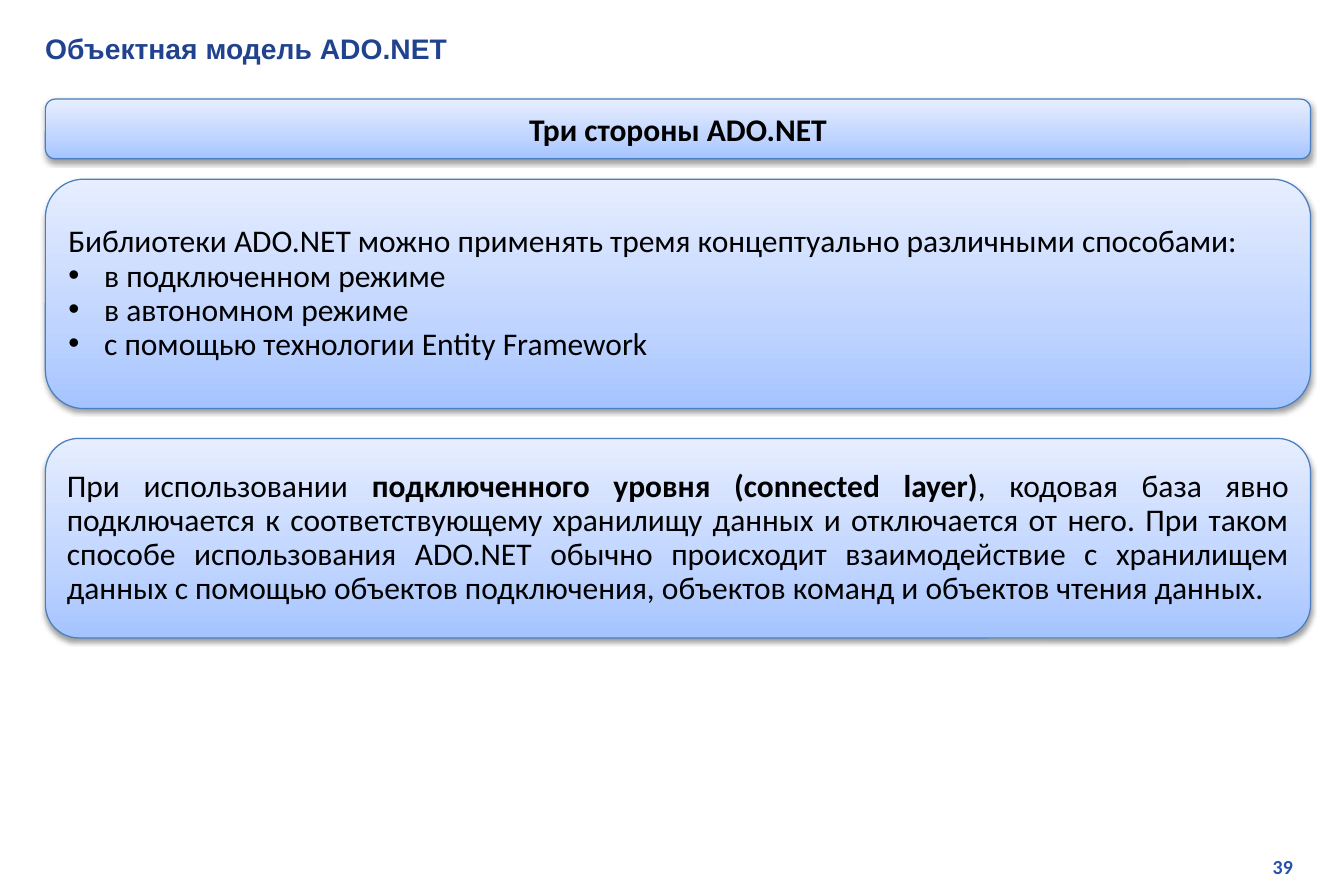
from lxml import etree
from pptx import Presentation
from pptx.dml.color import RGBColor
from pptx.enum.shapes import MSO_SHAPE
from pptx.enum.text import MSO_ANCHOR, PP_ALIGN
from pptx.oxml import parse_xml
from pptx.oxml.ns import qn
from pptx.util import Pt

ROUND = MSO_SHAPE.ROUNDED_RECTANGLE
MIDDLE = MSO_ANCHOR.MIDDLE
LEFT, CENTER, RIGHT, JUSTIFY = PP_ALIGN.LEFT, PP_ALIGN.CENTER, PP_ALIGN.RIGHT, PP_ALIGN.JUSTIFY
PX = 9144
NS = 'xmlns:a="http://schemas.openxmlformats.org/drawingml/2006/main"'
STOPS = [(0, "A4C4FF"), (35, "BFD4FF"), (100, "E6EEFF")]


def color(code):
    return RGBColor.from_string(code)


def write(shape, paras, align, size, face, tint, space=None):
    frame = shape.text_frame
    frame.word_wrap = True
    frame.vertical_anchor = MIDDLE
    for i, (bullet, runs) in enumerate(paras):
        para = frame.paragraphs[0] if i == 0 else frame.add_paragraph()
        para.alignment = align
        if space:
            para.line_spacing = space
        if bullet:
            props = para._p.get_or_add_pPr()
            props.set("marL", str(30 * PX))
            props.set("indent", str(-30 * PX))
            etree.SubElement(props, qn("a:buFont")).set("typeface", "Arial")
            etree.SubElement(props, qn("a:buChar")).set("char", "•")
        for text, bold in runs:
            run = para.add_run()
            run.text = text
            run.font.name = face
            run.font.size = Pt(size)
            run.font.bold = bold
            run.font.color.rgb = color(tint)


deck = Presentation()
deck.slide_width, deck.slide_height = 1125 * PX, 750 * PX
slide = deck.slides.add_slide(deck.slide_layouts[6])

labels = [
    ((854, 710, 238, 30), "39", RIGHT, 12, "Calibri", "2750AB"),
    ((28, 20, 1074, 40), "Объектная модель ADO.NET", LEFT, 17, "Arial", "21438F"),
]
for place, text, align, size, face, tint in labels:
    box = slide.shapes.add_textbox(*[n * PX for n in place])
    write(box, [(False, [(text, True)])], align, size, face, tint)

panels = [
    (83, 50, CENTER, None, [(False, [("Три стороны ADO.NET", True)])]),
    (150, 192, JUSTIFY, 0.9, [
        (False, [("Библиотеки ADO.NET можно применять тремя концептуально различными способами:", False)]),
        (True, [("в подключенном режиме", False)]),
        (True, [("в автономном режиме", False)]),
        (True, [("с помощью технологии Entity Framework", False)]),
    ]),
    (367, 167, JUSTIFY, 0.9, [
        (False, [
            ("При использовании ", False),
            ("подключенного уровня (connected layer)", True),
            (", кодовая база явно подключается к соответствующему хранилищу данных "
             "и отключается от него. При таком способе использования ADO.NET обычно "
             "происходит взаимодействие с хранилищем данных с помощью объектов "
             "подключения, объектов команд и объектов чтения данных.", False),
        ]),
    ]),
]
stops = "".join(
    f'<a:gs pos="{pos * 1000}"><a:srgbClr val="{code}"/></a:gs>' for pos, code in STOPS
)
for top, height, align, space, paras in panels:
    panel = slide.shapes.add_shape(ROUND, 38 * PX, top * PX, 1059 * PX, height * PX)
    props = panel._element.spPr
    props.insert(2, parse_xml(
        f'<a:gradFill {NS} rotWithShape="1"><a:gsLst>{stops}</a:gsLst>'
        '<a:lin ang="16200000" scaled="0"/></a:gradFill>'
    ))
    panel.line.color.rgb = color("4B7EBC")
    panel.line.width = Pt(0.75)
    panel.shadow.inherit = False
    props.find(qn("a:effectLst")).append(parse_xml(
        f'<a:outerShdw {NS} blurRad="{Pt(3.1)}" dist="{Pt(1.6)}" dir="5400000" '
        'rotWithShape="0"><a:srgbClr val="000000"><a:alpha val="38000"/>'
        '</a:srgbClr></a:outerShdw>'
    ))
    write(panel, paras, align, 19, "Calibri", "000000", space)

deck.save("out.pptx")
